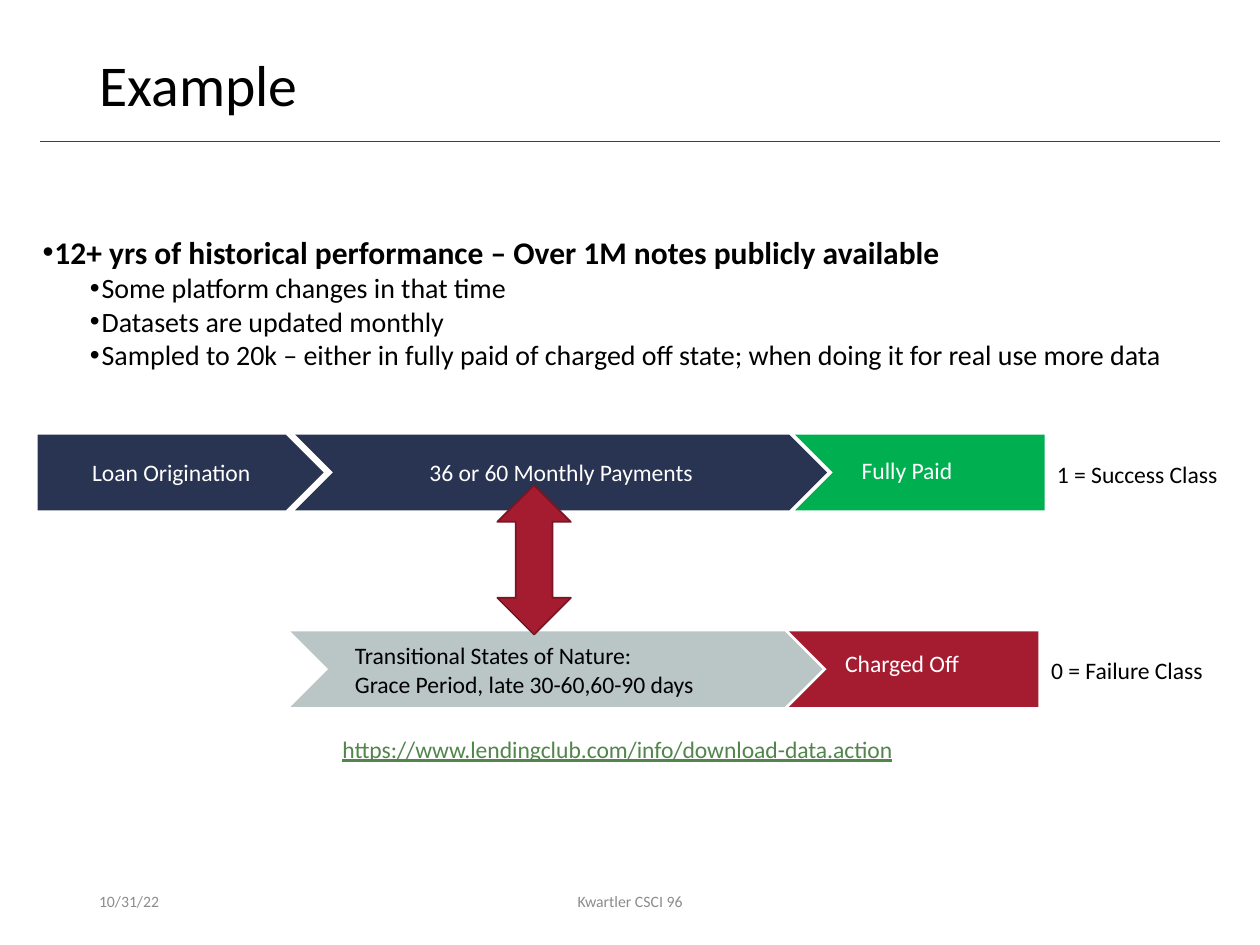
from lxml import etree
from pptx import Presentation
from pptx.dml.color import RGBColor
from pptx.enum.shapes import MSO_CONNECTOR, MSO_SHAPE
from pptx.enum.text import MSO_ANCHOR, MSO_AUTO_SIZE, PP_ALIGN
from pptx.oxml.ns import qn
from pptx.util import Pt

LEFT, CENTER = PP_ALIGN.LEFT, PP_ALIGN.CENTER
TOP, MIDDLE = MSO_ANCHOR.TOP, MSO_ANCHOR.MIDDLE
GROW, FIXED = MSO_AUTO_SIZE.SHAPE_TO_FIT_TEXT, MSO_AUTO_SIZE.NONE
CHEVRON, PENTAGON = MSO_SHAPE.CHEVRON, MSO_SHAPE.PENTAGON
TWO_WAY_ARROW = MSO_SHAPE.UP_DOWN_ARROW
STRAIGHT = MSO_CONNECTOR.STRAIGHT

FONT = "Calibri"
BLACK, WHITE, GRAY, RULE = "000000", "FFFFFF", "8C8C8C", "404040"
NAVY, SILVER, GREEN = "293352", "BAC5C6", "00B050"
CRIMSON, DARK_RED, LINK_GREEN = "A51C30", "7A1524", "52854C"

# Rows of the process diagram
PAID_TOP, UNPAID_TOP, STEP_HEIGHT = 248.4, 360.8, 43.2
NOTCH = STEP_HEIGHT / 2


def color(value):
    return RGBColor.from_string(value)


def apply(target, values):
    for name, value in values.items():
        setattr(target, name, value)


def write(para, text, size, ink, **extra):
    span = para.add_run()
    span.text = text
    apply(span.font, {"name": FONT, "size": Pt(size), **extra})
    span.font.color.rgb = color(ink)


def add_text(page, area, lines, size=13.5, ink=BLACK, align=LEFT,
             wrap=True, anchor=TOP, fit=GROW, **extra):
    box = page.shapes.add_textbox(*map(Pt, area))
    frame = box.text_frame
    apply(frame, {"word_wrap": wrap, "vertical_anchor": anchor, "auto_size": fit})
    for index, line in enumerate(lines):
        para = frame.add_paragraph() if index else frame.paragraphs[0]
        para.alignment = align
        write(para, line, size, ink, **extra)


def add_bullet(para, indent, hanging):
    props = para._p.get_or_add_pPr()
    props.set("marL", str(Pt(indent)))
    props.set("indent", str(-Pt(hanging)))
    etree.SubElement(props, qn("a:buFont")).set("typeface", "Arial")
    etree.SubElement(props, qn("a:buChar")).set("char", "•")


def add_bullets(page, area, heading, details):
    frame = page.shapes.add_textbox(*map(Pt, area)).text_frame
    apply(frame, {"word_wrap": True, "auto_size": GROW})
    para = frame.paragraphs[0]
    add_bullet(para, 6.75, 6.75)
    write(para, heading, 18, BLACK, bold=True)
    for detail in details:
        para = frame.add_paragraph()
        para.level = 1
        add_bullet(para, 33.75, 6.75)
        write(para, detail, 16, BLACK)


def paint(shape, fill, outline=None):
    shape.shadow.inherit = False
    shape.fill.solid()
    shape.fill.fore_color.rgb = color(fill)
    if outline:
        shape.line.color.rgb = color(outline)
        shape.line.width = Pt(1)
    else:
        shape.line.fill.background()


def add_step(page, kind, area, fill, outline=None, text=None):
    shape = page.shapes.add_shape(kind, *map(Pt, area))
    paint(shape, fill, outline)
    if text:
        frame = shape.text_frame
        apply(frame, {"word_wrap": True, "vertical_anchor": MIDDLE})
        frame.paragraphs[0].alignment = CENTER
        write(frame.paragraphs[0], text, 13.5, WHITE)


def add_outcome(page, left, top, fill):
    """Block with a notch on the left that receives a chevron's tip."""
    right, bottom = left + 142.6, top + STEP_HEIGHT
    corners = [(right, top), (right, bottom), (left, bottom),
               (left + NOTCH, top + NOTCH)]
    builder = page.shapes.build_freeform(Pt(left), Pt(top))
    builder.add_line_segments([(Pt(x), Pt(y)) for x, y in corners], close=True)
    paint(builder.convert_to_shape(), fill)


def add_rule(page, left, right, top):
    line = page.shapes.add_connector(STRAIGHT, Pt(left), Pt(top), Pt(right), Pt(top))
    line.line.color.rgb = color(RULE)
    line.line.width = Pt(0.5)
    etree.SubElement(line._element.spPr, qn("a:effectLst"))


def add_title(page, text):
    title = page.shapes.title
    apply(title, {"left": Pt(49.5), "top": Pt(28.8),
                  "width": Pt(621), "height": Pt(46.8)})
    apply(title.text_frame, {"vertical_anchor": TOP, "auto_size": FIXED})
    para = title.text_frame.paragraphs[0]
    apply(para, {"alignment": LEFT, "line_spacing": 0.9})
    write(para, text, 33, BLACK)


def main():
    deck = Presentation()
    apply(deck, {"slide_width": Pt(720), "slide_height": Pt(540)})
    page = deck.slides.add_slide(deck.slide_layouts[5])

    # Heading and rule
    add_title(page, "Example")
    add_rule(page, 23, 697, 80.8)

    # Facts about the data
    add_bullets(page, (17.3, 129.6, 681, 106.6),
                "12+ yrs of historical performance – Over 1M notes publicly available",
                ["Some platform changes in that time",
                 "Datasets are updated monthly",
                 "Sampled to 20k – either in fully paid of charged off state; "
                 "when doing it for real use more data"])

    # Process steps and outcomes
    add_step(page, CHEVRON, (166, UNPAID_TOP, 304, STEP_HEIGHT), SILVER)
    add_step(page, PENTAGON, (21.5, PAID_TOP, 163.5, STEP_HEIGHT), NAVY,
             text="Loan Origination")
    add_step(page, CHEVRON, (168.7, PAID_TOP, 304, STEP_HEIGHT), NAVY,
             text="36 or 60 Monthly Payments")
    add_outcome(page, 454.3, PAID_TOP, GREEN)
    add_outcome(page, 450.8, UNPAID_TOP, CRIMSON)
    add_step(page, TWO_WAY_ARROW, (284.2, 277.2, 42, 85.4), CRIMSON, DARK_RED)

    # Labels on and beside the steps
    labels = [
        ((195.8, 362.9, 211, 40.3), ["Transitional States of Nature:",
                                     "Grace Period, late 30-60,60-90 days"], BLACK),
        ((485.3, 257, 92.9, 32.4), ["Fully Paid"], WHITE),
        ((475.9, 367.2, 112.3, 32.4), ["Charged Off"], WHITE),
        ((596.9, 259.2, 107.3, 23.8), ["1 = Success Class"], BLACK),
        ((593.6, 371.5, 102.2, 23.8), ["0 = Failure Class"], BLACK),
    ]
    for area, lines, ink in labels:
        add_text(page, area, lines, ink=ink, wrap=False)

    # Data address
    add_text(page, (188.6, 416.2, 339.1, 23.8),
             ["https://www.lendingclub.com/info/download-data.action"],
             ink=LINK_GREEN, underline=True)

    # Date and footer
    footer = {"size": 9, "ink": GRAY, "anchor": MIDDLE, "fit": FIXED}
    add_text(page, (49.5, 500.5, 162, 28.8), ["10/31/22"], **footer)
    add_text(page, (238.5, 500.5, 243, 28.8), ["Kwartler CSCI 96"],
             align=CENTER, **footer)

    deck.save("out.pptx")


if __name__ == "__main__":
    main()
